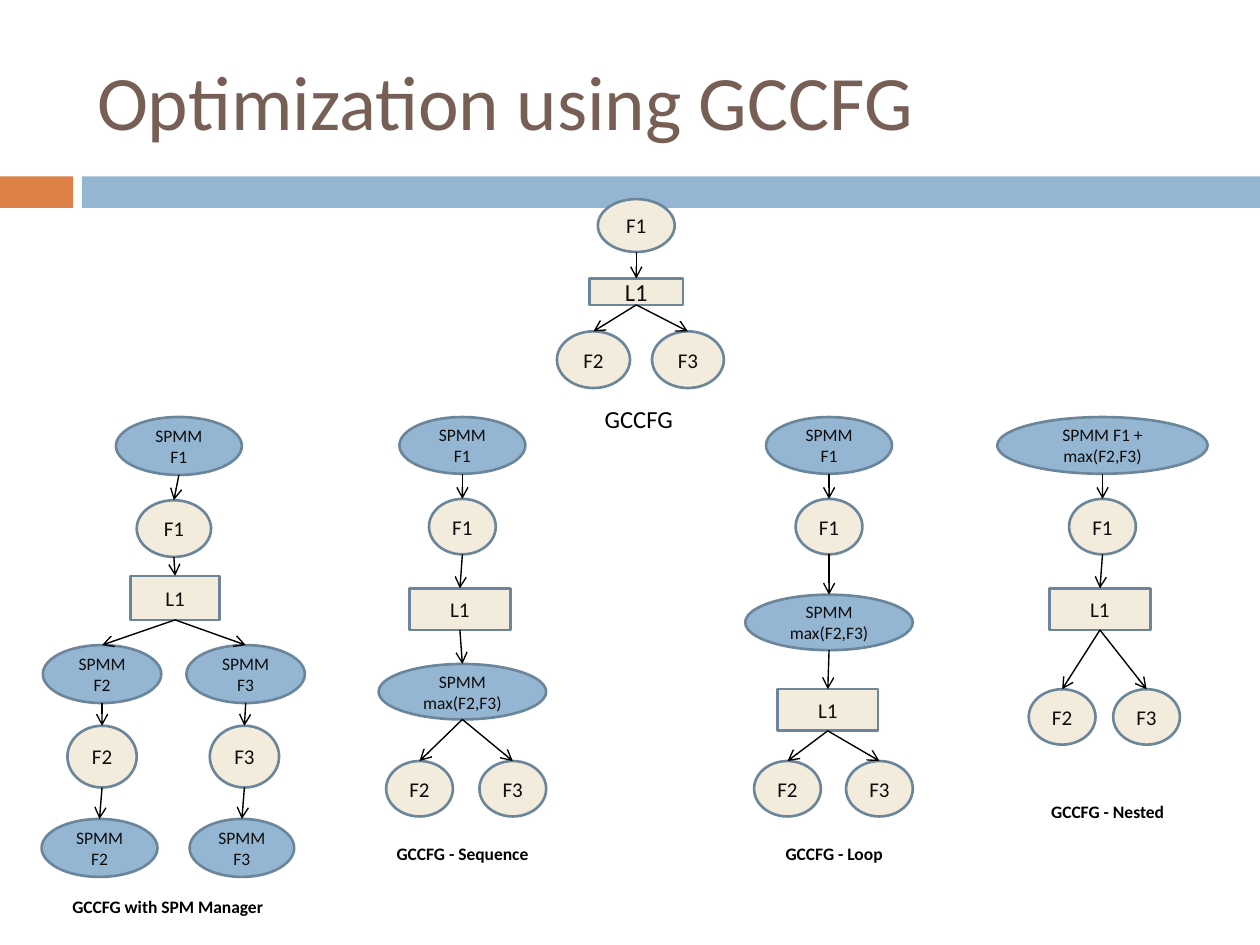
"""Build the slide that compares GCCFG variants with SPM manager placement."""
from lxml import etree
from pptx import Presentation
from pptx import util as u
from pptx.dml.color import RGBColor
from pptx.enum import shapes, text
from pptx.oxml import ns

ORANGE = RGBColor(0xDD, 0x80, 0x47)
BLUE = RGBColor(0x94, 0xB6, 0xD2)
CREAM = RGBColor(0xF3, 0xEB, 0xDB)
OUTLINE = RGBColor(0x6B, 0x85, 0x9A)
BROWN = RGBColor(0x77, 0x5F, 0x55)
INK = RGBColor(0x0D, 0x0D, 0x0D)
BLACK = RGBColor(0, 0, 0)

deck = Presentation()
deck.slide_width, deck.slide_height = u.Inches(10), u.Inches(7.5)
COLUMN = deck.slide_width / 100
ROW = deck.slide_height / 75
page = deck.slides.add_slide(deck.slide_layouts[5])


def place(left, top, width, height):
    return [round(size) for size in (left * COLUMN, top * ROW, width * COLUMN, height * ROW)]


def write(shape, words, size, color, align, bold=False):
    frame = shape.text_frame
    frame.text = words
    for para in frame.paragraphs:
        para.alignment = align
        for span in para.runs:
            span.font.name = "Calibri"
            span.font.size = u.Pt(size)
            span.font.bold = bold
            span.font.color.rgb = color


for left, width, color in ((0, 5.8, ORANGE), (6.5, 93.5, BLUE)):
    bar = page.shapes.add_shape(shapes.MSO_SHAPE.RECTANGLE, *place(left, 14, width, 2.5))
    bar.shadow.inherit = False
    bar.fill.solid()
    bar.fill.fore_color.rgb = color
    bar.line.fill.background()

title = page.shapes.title
title.left, title.top, title.width, title.height = place(6.7, 2.5, 89.2, 10.8)
title.text_frame.vertical_anchor = text.MSO_ANCHOR.MIDDLE
write(title, "Optimization using GCCFG", 44, BROWN, text.PP_ALIGN.LEFT)

CIRCLE, BOX, MANAGER, WIDE = (5.3, 4.4), (8, 3.3), (10, 4.5), (13.3, 4.4)
TALL, SIDE = (5.5, 4.9), (9.4, 4.6)

# Each node is: name, words, centre column, top row, (width, height).
TREES = [
    {
        "caption": ("GCCFG", 50.7, 31.6, 8.3, 3.4, 14, False),
        "nodes": [
            ("f1", "F1", 50.5, 15.8, (6.1, 4.2)), ("loop", "L1", 50.5, 22.1, (7.4, 2.1)),
            ("f2", "F2", 47.1, 26.3, (5.8, 4.5)), ("f3", "F3", 54.6, 26.3, (5.7, 4.5)),
        ],
        "edges": "f1-loop loop-f2 loop-f3",
    },
    {
        "caption": ("GCCFG with SPM Manager", 13.3, 70.6, 19.8, 2.7, 10, True),
        "nodes": [
            ("m1", "SPMM F1", 14.2, 33.1, (10, 4.6)), ("f1", "F1", 13.8, 39.7, (5.9, 4.5)),
            ("loop", "L1", 13.9, 45.7, (7.1, 3.5)),
            ("m2", "SPMM F2", 8.1, 51.2, SIDE), ("m3", "SPMM F3", 19.5, 51.2, SIDE),
            ("f2", "F2", 8.1, 57.6, TALL), ("f3", "F3", 19.4, 57.6, TALL),
            ("end2", "SPMM F2", 7.9, 65, (9.2, 4.6)), ("end3", "SPMM F3", 19.2, 65, (8.3, 4.6)),
        ],
        "edges": "m1-f1 f1-loop loop-m2 loop-m3 m2-f2 m3-f3 f2-end2 f3-end3",
    },
    {
        "caption": ("GCCFG - Sequence", 36.7, 66.4, 14.3, 2.7, 10, True),
        "nodes": [
            ("m1", "SPMM F1", 36.7, 33.1, MANAGER), ("f1", "F1", 36.7, 39.6, CIRCLE),
            ("loop", "L1", 36.5, 46.7, BOX), ("max", "SPMM\nmax(F2,F3)", 36.7, 52.7, WIDE),
            ("f2", "F2", 33.3, 60.4, CIRCLE), ("f3", "F3", 40.7, 60.4, CIRCLE),
        ],
        "edges": "m1-f1 f1-loop loop-max max-f2 max-f3",
    },
    {
        "caption": ("GCCFG - Loop", 66.2, 66.4, 12.5, 2.7, 10, True),
        "nodes": [
            ("m1", "SPMM F1", 65.8, 33.1, MANAGER), ("f1", "F1", 65.8, 39.6, CIRCLE),
            ("max", "SPMM\nmax(F2,F3)", 65.8, 47.2, WIDE), ("loop", "L1", 65.7, 54.7, BOX),
            ("f2", "F2", 62.5, 60.4, CIRCLE), ("f3", "F3", 69.8, 60.4, CIRCLE),
        ],
        "edges": "m1-f1 f1-max max-loop loop-f2 loop-f3",
    },
    {
        "caption": ("GCCFG - Nested", 87.9, 63.1, 14.2, 2.7, 10, True),
        "nodes": [
            ("m1", "SPMM F1 + max(F2,F3)", 87.5, 33.1, (16.7, 4.5)),
            ("f1", "F1", 87.5, 39.6, CIRCLE), ("loop", "L1", 87.3, 46.7, BOX),
            ("f2", "F2", 84.3, 54.7, CIRCLE), ("f3", "F3", 91, 54.7, CIRCLE),
        ],
        "edges": "m1-f1 f1-loop loop-f2 loop-f3",
    },
]

for tree in TREES:
    group = page.shapes.add_group_shape()
    words, center, top, width, height, caption_size, bold = tree["caption"]
    nodes = {}
    for name, label, middle, node_top, (node_width, node_height) in tree["nodes"]:
        kind = shapes.MSO_SHAPE.RECTANGLE if name == "loop" else shapes.MSO_SHAPE.OVAL
        node = group.shapes.add_shape(
            kind, *place(middle - node_width / 2, node_top, node_width, node_height))
        managed = label.startswith("SPMM")
        node.shadow.inherit = False
        node.fill.solid()
        node.fill.fore_color.rgb = BLUE if managed else CREAM
        node.line.color.rgb = OUTLINE
        node.line.width = u.Pt(1.5)
        node.text_frame.word_wrap = True
        node.text_frame.vertical_anchor = text.MSO_ANCHOR.MIDDLE
        size = 10 if managed else caption_size if name == "loop" and not bold else 12
        write(node, label, size, INK, text.PP_ALIGN.CENTER)
        nodes[name] = node

    for edge in tree["edges"].split():
        source, target = (nodes[name] for name in edge.split("-"))
        arrow = group.shapes.add_connector(
            shapes.MSO_CONNECTOR.STRAIGHT,
            source.left + source.width // 2, source.top + source.height,
            target.left + target.width // 2, target.top)
        arrow.line.color.rgb = BLACK
        arrow.line.width = u.Pt(0.79)
        etree.SubElement(arrow.line._get_or_add_ln(), ns.qn("a:tailEnd"), type="arrow")
        etree.SubElement(arrow._element.spPr, ns.qn("a:effectLst"))

    caption = group.shapes.add_textbox(*place(center - width / 2, top, width, height))
    caption.text_frame.word_wrap = False
    write(caption, words, caption_size, BLACK, text.PP_ALIGN.CENTER, bold)

deck.save("out.pptx")
